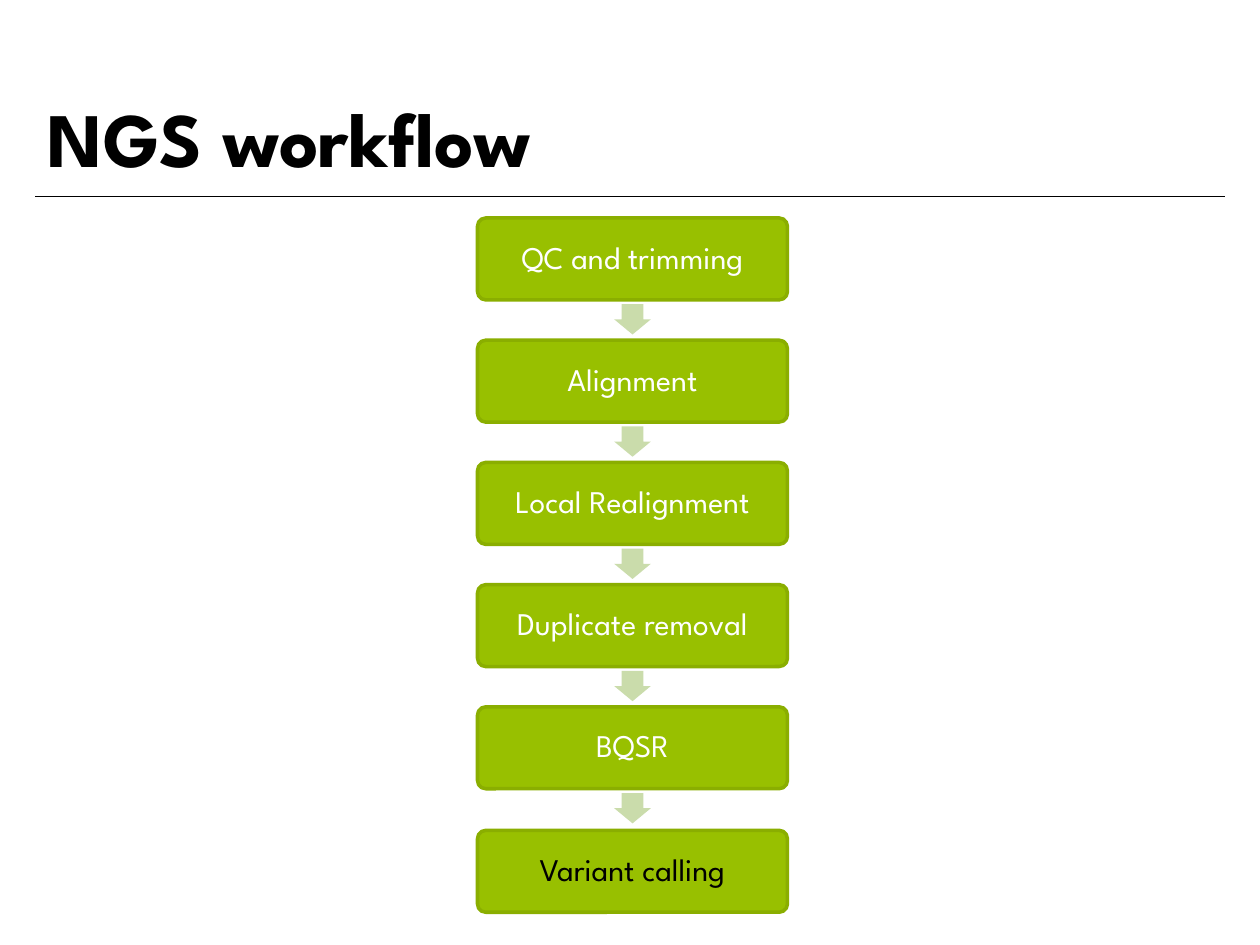
from pptx import Presentation
from pptx.dml.color import RGBColor
from pptx.enum.shapes import MSO_CONNECTOR, MSO_SHAPE
from pptx.enum.text import MSO_ANCHOR, PP_ALIGN
from pptx.oxml.ns import qn
from pptx.util import Pt
from lxml.etree import SubElement

SCALE = 9144  # EMU per px, 100 px to the inch
FONT = "League Spartan"
BLACK = RGBColor(0x00, 0x00, 0x00)
WHITE = RGBColor(0xFF, 0xFF, 0xFF)
GREEN = RGBColor(0x98, 0xC0, 0x00)
EDGE = RGBColor(0x8A, 0xAE, 0x00)
PALE = RGBColor(0xCA, 0xDC, 0xAB)

STEPS = ["QC and trimming", "Alignment", "Local Realignment",
         "Duplicate removal", "BQSR", "Variant calling"]


def px(*sizes):
    return [size * SCALE for size in sizes]


class Page:
    def __init__(self, slide):
        self.shapes = slide.shapes

    def label(self, frame, text, size, color, bold=False):
        frame.word_wrap = True
        frame.text = text
        font = frame.paragraphs[0].runs[0].font
        font.name, font.size, font.bold = FONT, Pt(size), bold
        font.color.rgb = color

    def title(self, text, *area):
        frame = self.shapes.add_textbox(*px(*area)).text_frame
        frame.vertical_anchor = MSO_ANCHOR.BOTTOM
        self.label(frame, text, 44, BLACK, True)

    def rule(self, *ends):
        line = self.shapes.add_connector(MSO_CONNECTOR.STRAIGHT, *px(*ends))
        line.line.color.rgb = BLACK
        line.line.width = Pt(1)
        SubElement(line._element.spPr, qn("a:effectLst"))

    def solid(self, kind, area, fill):
        shape = self.shapes.add_shape(kind, *px(*area))
        shape.shadow.inherit = False
        shape.fill.solid()
        shape.fill.fore_color.rgb = fill
        return shape

    def step(self, text, color, *area):
        box = self.solid(MSO_SHAPE.ROUNDED_RECTANGLE, area, GREEN)
        box.adjustments[0] = 0.1
        box.line.color.rgb = EDGE
        box.line.width = Pt(2)
        frame = box.text_frame
        frame.margin_left, frame.margin_right = px(9, 9)
        frame.margin_top, frame.margin_bottom = px(9, 9)
        frame.vertical_anchor = MSO_ANCHOR.MIDDLE
        self.label(frame, text, 18, color)
        para = frame.paragraphs[0]
        para.alignment = PP_ALIGN.CENTER
        para.line_spacing = 0.9

    def arrow(self, *area):
        arrow = self.solid(MSO_SHAPE.RIGHT_ARROW, area, PALE)
        arrow.adjustments[0] = 0.6
        arrow.adjustments[1] = 0.5
        arrow.rotation = 90
        arrow.line.fill.background()


def main():
    deck = Presentation()
    deck.slide_width, deck.slide_height = px(1000, 750)
    page = Page(deck.slides.add_slide(deck.slide_layouts[6]))

    # Heading
    page.rule(28, 156, 972, 156)
    page.title("NGS workflow", 28, 69, 683, 81)

    # Steps, spread evenly from first to last, with arrows between
    first, last = 173, 659
    count = len(STEPS) - 1
    for i, text in enumerate(STEPS):
        top = first + (last - first) * i // count
        page.step(text, WHITE if i < count else BLACK, 379, top, 246, 65)
        if i < count:
            page.arrow(490, top + 66, 24, 29)

    deck.save("out.pptx")


if __name__ == "__main__":
    main()
